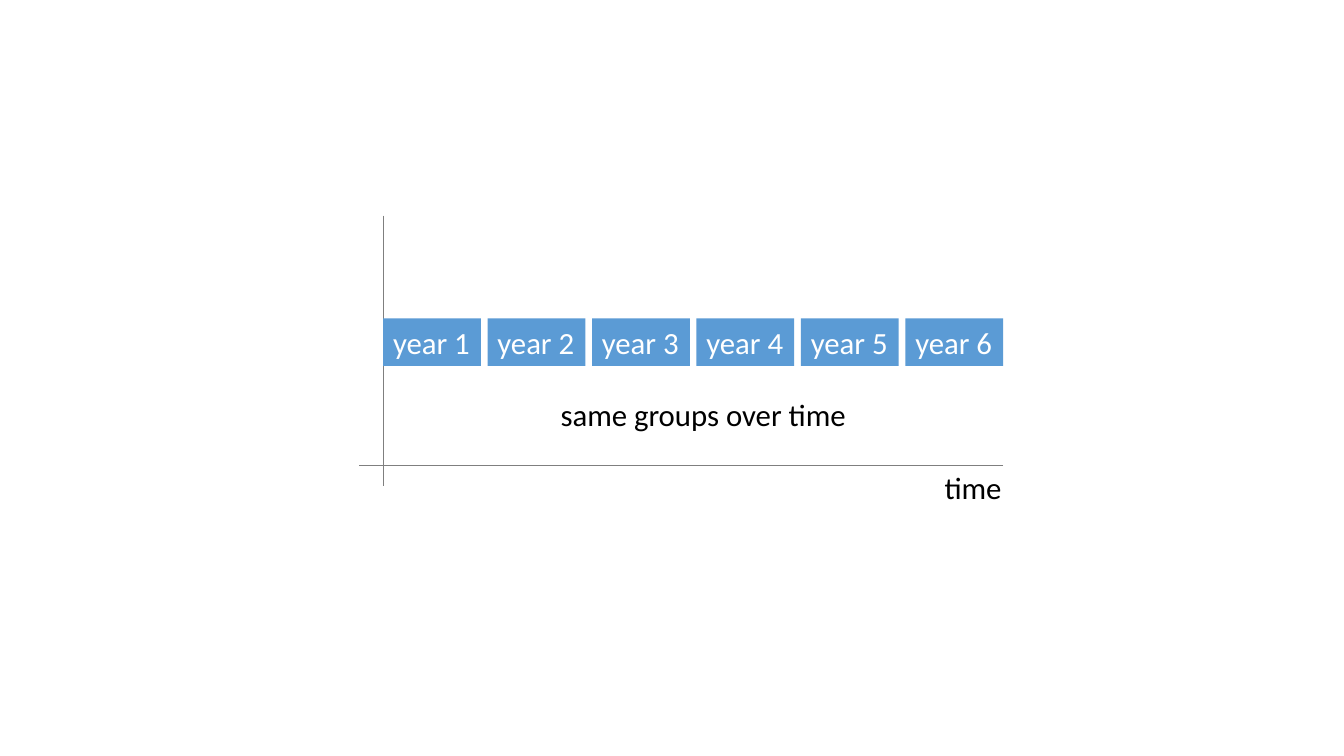
import pptx
import pptx.util
import pptx.dml.color
import pptx.enum.shapes
import pptx.enum.text
import lxml.etree

Inches = pptx.util.Inches
Pt = pptx.util.Pt
Align = pptx.enum.text.PP_ALIGN


def color(code):
    return pptx.dml.color.RGBColor.from_string(code)


def write(shape, text, code, align=Align.LEFT, wrap=True):
    frame = shape.text_frame
    frame.word_wrap = wrap
    frame.auto_size = pptx.enum.text.MSO_AUTO_SIZE.SHAPE_TO_FIT_TEXT
    frame.vertical_anchor = pptx.enum.text.MSO_ANCHOR.TOP
    para = frame.paragraphs[0]
    para.alignment = align
    run = para.add_run()
    run.text = text
    run.font.name = "Calibri"
    run.font.size = Pt(22)
    run.font.color.rgb = color(code)


deck = pptx.Presentation()
deck.slide_width = Inches(13.33)
deck.slide_height = Inches(7.5)
slide = deck.slides.add_slide(deck.slide_layouts[6])
shapes = slide.shapes

# Labels
for text, left, top, width, align in (
    ("same groups over time", 4.11, 3.88, 5.73, Align.CENTER),
    ("time", 9.27, 4.6, 0.97, Align.LEFT),
):
    label = shapes.add_textbox(Inches(left), Inches(top), Inches(width), Inches(0.47))
    write(label, text, "000000", align)

# Axes
for ends in ((9.95, 4.62, 3.56, 4.62), (3.8, 2.14, 3.8, 4.82)):
    axis = shapes.add_connector(
        pptx.enum.shapes.MSO_CONNECTOR.STRAIGHT, *[Inches(end) for end in ends]
    )
    axis.line.color.rgb = color("7F7F7F")
    axis.line.width = Pt(0.5)
    lxml.etree.SubElement(axis.element.spPr, pptx.oxml.ns.qn("a:effectLst"))

# Year boxes
for num in range(6):
    box = shapes.add_shape(
        pptx.enum.shapes.MSO_SHAPE.RECTANGLE,
        Inches(3.8 + num * 1.036), Inches(3.16), Inches(0.97), Inches(0.47),
    )
    box.shadow.inherit = False
    box.fill.solid()
    box.fill.fore_color.rgb = color("5B9BD5")
    box.line.fill.background()
    write(box, f"year {num + 1}", "FFFFFF", wrap=False)

deck.save("out.pptx")
